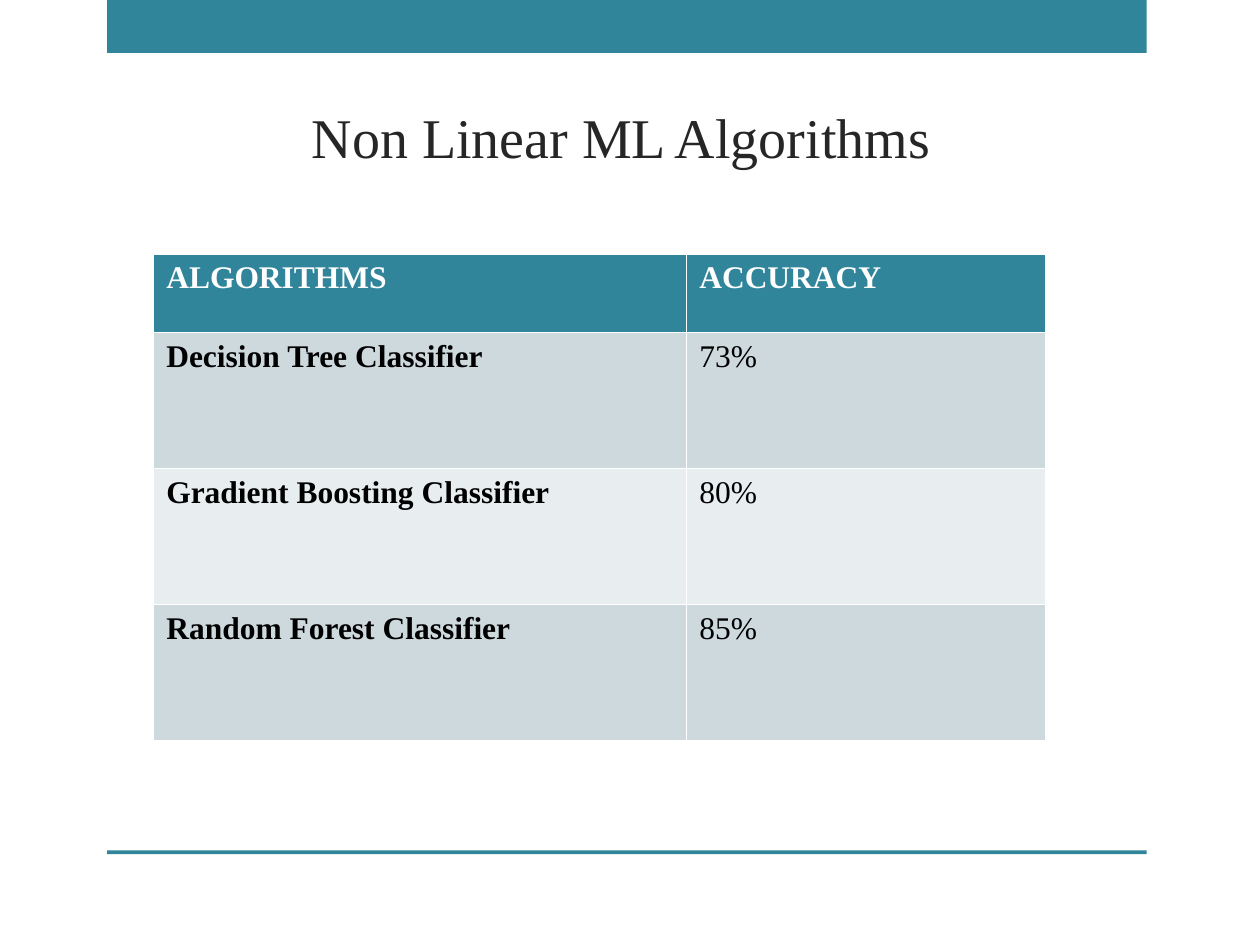
from pptx import Presentation
from pptx.dml.color import RGBColor
from pptx.enum.shapes import MSO_SHAPE as Shape
from pptx.enum.text import MSO_ANCHOR as Anchor, PP_ALIGN as Align
from pptx.util import Inches, Pt

TEAL = "31859B"
BANDS = ["CED9DE", "E8EDEF"]


def paint(fill, color):
    fill.solid()
    fill.fore_color.rgb = RGBColor.from_string(color)


def write(frame, text, size=18, color="000000", bold=False, align=Align.LEFT):
    paragraph = frame.paragraphs[0]
    paragraph.alignment = align
    run = paragraph.add_run()
    run.text = text
    run.font.name = "Times New Roman"
    run.font.size = Pt(size)
    run.font.bold = bold
    run.font.color.rgb = RGBColor.from_string(color)


prs = Presentation()
prs.slide_width, prs.slide_height = Inches(10), Inches(7.5)
slide = prs.slides.add_slide(prs.slide_layouts[6])

# Top band and footer rule
for top, height in [(0, 0.42), (6.75, 0.03)]:
    band = slide.shapes.add_shape(
        Shape.RECTANGLE, Inches(0.85), Inches(top), Inches(8.25), Inches(height))
    band.shadow.inherit = False
    paint(band.fill, TEAL)
    band.line.fill.background()

# Title
title = slide.shapes.add_textbox(
    Inches(1.22), Inches(0.6), Inches(7.42), Inches(0.8)).text_frame
title.word_wrap = True
title.vertical_anchor = Anchor.BOTTOM
write(title, "Non Linear ML Algorithms", size=32, color="262626", align=Align.CENTER)

# Accuracy table; its default style draws the white cell borders
scores = [
    ("ALGORITHMS", "ACCURACY"),
    ("Decision Tree Classifier", "73%"),
    ("Gradient Boosting Classifier", "80%"),
    ("Random Forest Classifier", "85%"),
]
accuracy = slide.shapes.add_table(
    len(scores), 2, Inches(1.22), Inches(2.02), Inches(7.08), Inches(3.86)).table
for column, width in zip(accuracy.columns, [4.23, 2.85]):
    column.width = Inches(width)

for r, score in enumerate(scores):
    header = r == 0
    accuracy.rows[r].height = Inches(0.62 if header else 1.08)
    for c, text in enumerate(score):
        cell = accuracy.cell(r, c)
        paint(cell.fill, TEAL if header else BANDS[(r - 1) % 2])
        write(cell.text_frame, text, color="FFFFFF" if header else "000000",
              bold=header or c == 0)

prs.save("out.pptx")
